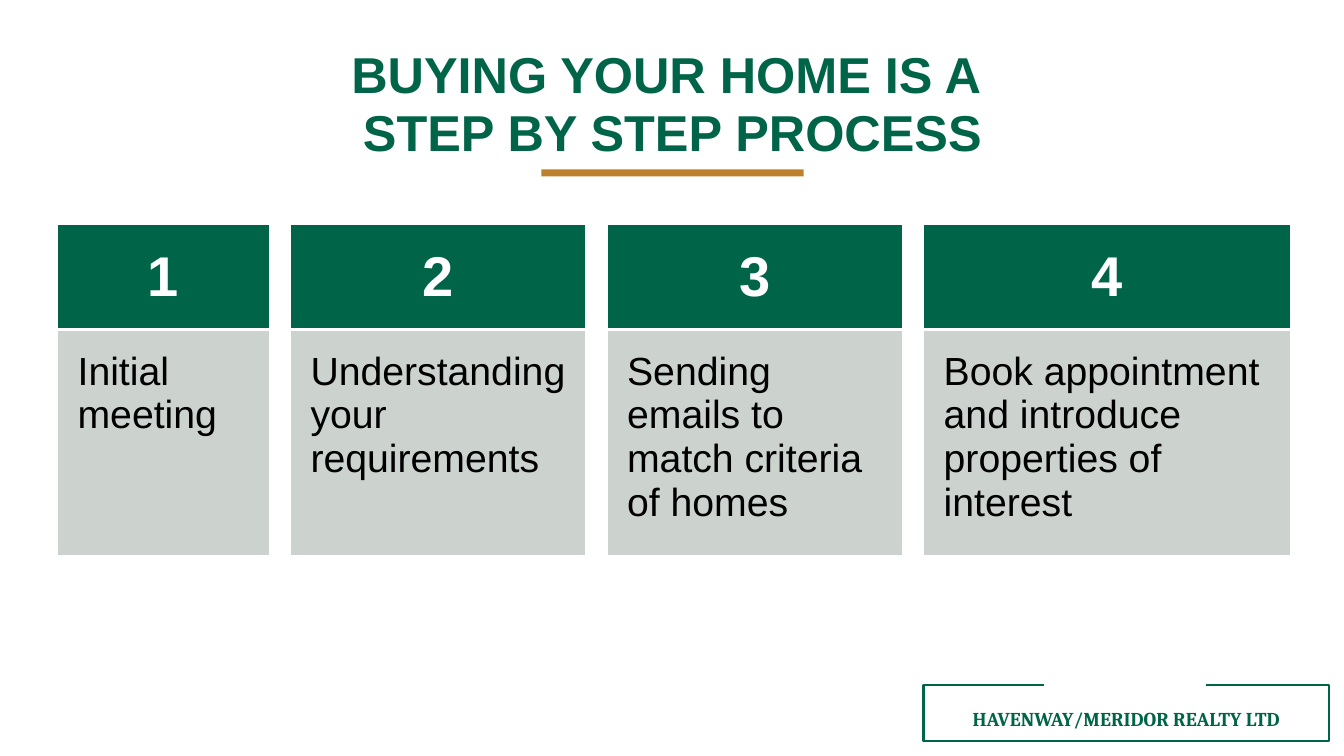
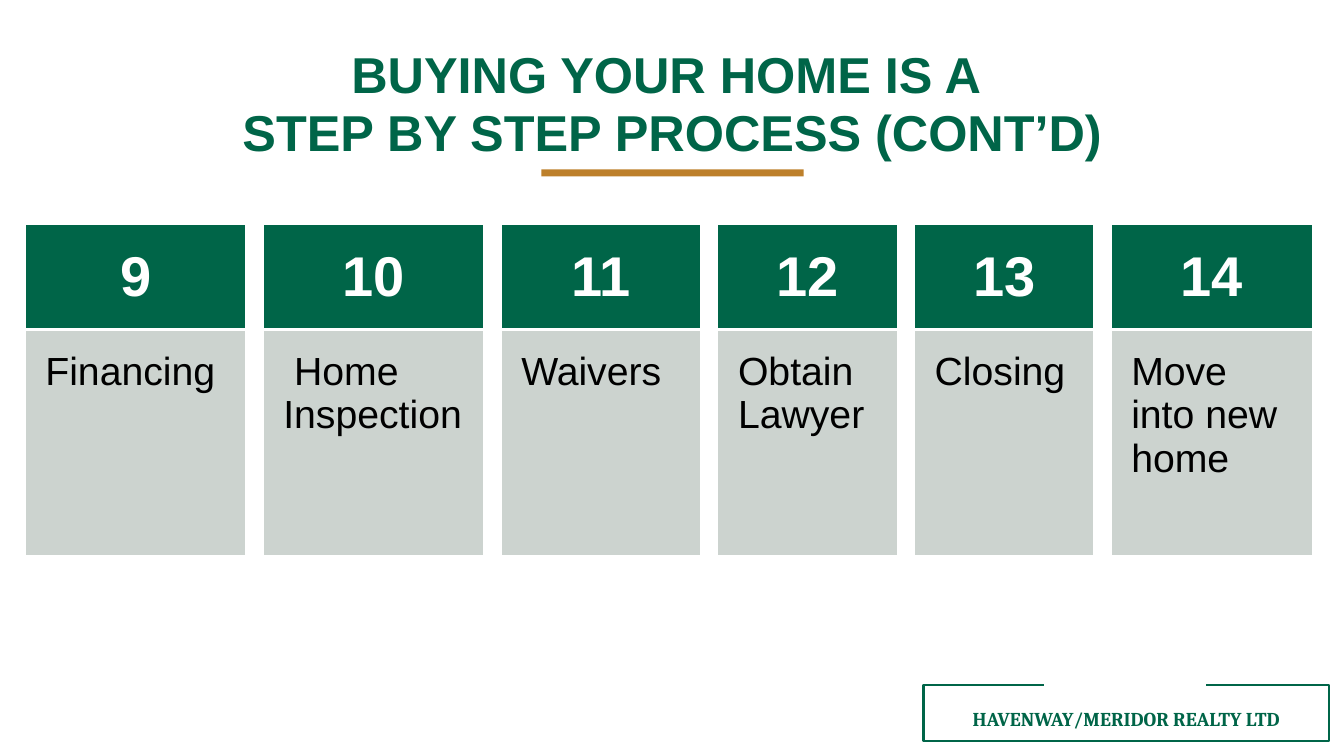
from dataclasses import dataclass

from lxml.etree import SubElement
from pptx import Presentation
from pptx.dml.color import RGBColor
from pptx.enum.shapes import MSO_SHAPE as Shape
from pptx.enum.text import MSO_ANCHOR as Anchor, MSO_AUTO_SIZE as AutoSize, PP_ALIGN as Align
from pptx.oxml.ns import qn
from pptx.util import Pt

SCALE = 9144


def px(length):
    return length * SCALE


@dataclass(frozen=True)
class Theme:
    green: str = "006548"
    gold: str = "BD802B"
    grey: str = "CCD3CF"
    white: str = "FFFFFF"
    black: str = "000000"
    font: str = "Arial"
    footer_font: str = "Cambria"
    title_size: int = 36
    number_size: int = 40
    step_size: int = 28
    footer_size: int = 14
    frame_width: float = 1.5
    border: int = 1
    divider: int = 3


def write(frame, text, *, size, color, font, bold=False, align=Align.LEFT, spacing=None):
    paragraph = frame.paragraphs[0]
    paragraph.text = text
    paragraph.alignment = align
    if spacing:
        paragraph.line_spacing = spacing
    for run in paragraph.runs:
        run.font.name = font
        run.font.size = Pt(size)
        run.font.bold = bold
        run.font.color.rgb = RGBColor.from_string(color)


def set_borders(cell, color, **widths):
    properties = cell._tc.get_or_add_tcPr()
    for position, side in enumerate(("L", "R", "T", "B")):
        line = SubElement(properties, qn(f"a:ln{side}"), w=str(Pt(widths[side])))
        fill = SubElement(line, qn("a:solidFill"))
        SubElement(fill, qn("a:srgbClr"), val=color)
        properties.remove(line)
        properties.insert(position, line)


class Deck:
    def __init__(self, theme):
        self.theme = theme
        self.presentation = Presentation()
        self.presentation.slide_width = px(1333)
        self.presentation.slide_height = px(750)
        self.slide = None

    def add_slide(self, title):
        blank = self.presentation.slide_layouts[6]
        self.slide = self.presentation.slides.add_slide(blank)
        self.footer()
        self.title(title)

    def text(self, left, top, width, height, text, **style):
        box = self.slide.shapes.add_textbox(px(left), px(top), px(width), px(height))
        box.text_frame.word_wrap = True
        write(box.text_frame, text, bold=True, align=Align.CENTER,
              color=self.theme.green, **style)
        return box

    def title(self, text):
        rule = self.slide.shapes.add_shape(Shape.RECTANGLE, px(537), px(168), px(260), px(7))
        rule.shadow.inherit = False
        rule.fill.solid()
        rule.fill.fore_color.rgb = RGBColor.from_string(self.theme.gold)
        rule.line.fill.background()
        self.text(51, 42, 1232, 64, text, size=self.theme.title_size,
                  font=self.theme.font, spacing=0.96)

    def footer(self):
        left, top, right, bottom = 916, 680, 1318, 735
        label = self.text(left, 696, right - left, 34, "HAVENWAY/MERIDOR REALTY LTD",
                          size=self.theme.footer_size, font=self.theme.footer_font)
        label.text_frame.auto_size = AutoSize.SHAPE_TO_FIT_TEXT
        outline = self.slide.shapes.build_freeform(1035, top, scale=SCALE)
        outline.add_line_segments(
            [(left, top), (left, bottom), (right, bottom), (right, top), (1196, top)],
            close=False)
        frame = outline.convert_to_shape()
        frame.shadow.inherit = False
        frame.fill.background()
        frame.line.color.rgb = RGBColor.from_string(self.theme.green)
        frame.line.width = Pt(self.theme.frame_width)

    def card(self, left, width, number, step):
        theme = self.theme
        top, header_height, body_height = 223, 104, 224
        table = self.slide.shapes.add_table(
            2, 1, px(left), px(top), px(width), px(header_height + body_height)).table
        table.first_row = table.horz_banding = False
        table.rows[0].height = px(header_height)
        table.rows[1].height = px(body_height)
        header, body = table.cell(0, 0), table.cell(1, 0)
        for cell, color in ((header, theme.green), (body, theme.grey)):
            cell.fill.solid()
            cell.fill.fore_color.rgb = RGBColor.from_string(color)
        header.vertical_anchor = Anchor.MIDDLE
        body.margin_left = body.margin_top = body.margin_right = px(20)
        body.margin_bottom = px(5)
        edge, divider = theme.border, theme.divider
        set_borders(header, theme.white, L=edge, R=edge, T=edge, B=divider)
        set_borders(body, theme.white, L=edge, R=edge, T=divider, B=edge)
        write(header.text_frame, str(number), size=theme.number_size, color=theme.white,
              font=theme.font, bold=True, align=Align.CENTER)
        write(body.text_frame, step, size=theme.step_size, color=theme.black, font=theme.font)

    def cards(self, left, gap, first, steps):
        for number, (width, step) in enumerate(steps, first):
            self.card(left, width, number, step)
            left += width + gap


def main():
    deck = Deck(Theme())
    heading = "BUYING YOUR HOME IS A \vSTEP BY STEP PROCESS"

    deck.add_slide(heading)
    deck.cards(57, 21, 1, [
        (210, "Initial meeting"),
        (293, "Understanding your requirements"),
        (293, "Sending emails to match criteria of homes"),
        (364, "Book appointment and introduce properties of interest"),
    ])

    deck.add_slide(f"{heading} (CONT’D)")
    deck.cards(25, 17, 9, [
        (219, "Financing"),
        (219, " Home Inspection"),
        (198, "Waivers"),
        (178, "Obtain Lawyer"),
        (178, "Closing"),
        (200, "Move into new home"),
    ])

    deck.presentation.save("out.pptx")


if __name__ == "__main__":
    main()
